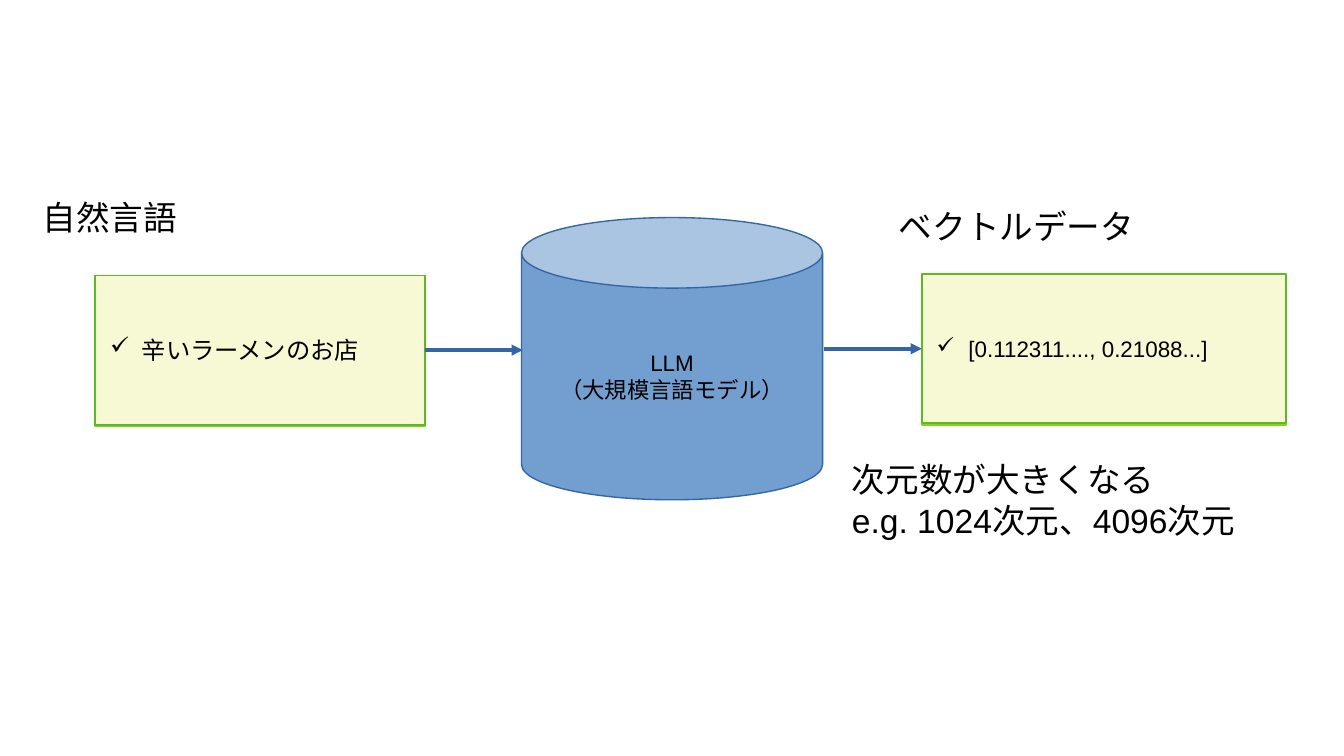
from dataclasses import dataclass

from lxml import etree
from pptx import Presentation
from pptx.dml.color import RGBColor
from pptx.enum.shapes import MSO_CONNECTOR, MSO_SHAPE
from pptx.enum.text import MSO_ANCHOR, MSO_AUTO_SIZE, PP_ALIGN
from pptx.oxml import parse_xml
from pptx.oxml.ns import nsdecls, qn
from pptx.util import Pt

FONT = "Arial"
BLACK = "000000"
BLUE = "3465A4"


@dataclass(frozen=True)
class Box:
    """A piece of text with its place and size, in points."""

    text: str
    left: float
    top: float
    width: float
    height: float
    size: float

    @property
    def right(self) -> float:
        return self.left + self.width

    @property
    def middle(self) -> float:
        return self.top + self.height / 2

    def frame(self) -> tuple:
        return Pt(self.left), Pt(self.top), Pt(self.width), Pt(self.height)


QUERY = Box("辛いラーメンのお店", 51.1, 147.6, 176.4, 79.9, 13)
VECTOR = Box("[0.112311...., 0.21088...]", 493.9, 146.9, 195.1, 79.9, 12)
MODEL = Box("LLM\n（大規模言語モデル）", 279.4, 116.6, 161.3, 151.2, 12)
LABELS = [
    Box("自然言語", 15.8, 102.2, 102.2, 38.2, 18),
    Box("ベクトルデータ", 474.5, 106.6, 166.3, 38.2, 18),
    Box("次元数が大きくなる\ne.g. 1024次元、4096次元", 449.3, 242.6, 259.9, 69.1, 18),
]


def rgb(value: str) -> RGBColor:
    """Turn a hex string into a colour."""
    return RGBColor.from_string(value)


def style_text(tf, size: float, align=None) -> None:
    """Format every run and align every paragraph of a text frame."""
    for p in tf.paragraphs:
        p.alignment = align
        for r in p.runs:
            r.font.size = Pt(size)
            r.font.name = FONT
            r.font.color.rgb = rgb(BLACK)


def add_shape(slide, box: Box, kind, fill: str, line: str, width: float):
    """Draw a filled shape with vertically centred text."""
    sp = slide.shapes.add_shape(kind, *box.frame())
    sp.shadow.inherit = False
    sp.fill.solid()
    sp.fill.fore_color.rgb = rgb(fill)
    sp.line.color.rgb = rgb(line)
    sp.line.width = Pt(width)
    tf = sp.text_frame
    tf.word_wrap = True
    tf.vertical_anchor = MSO_ANCHOR.MIDDLE
    tf.text = box.text
    return sp


def add_card(slide, box: Box):
    """Draw a check-marked card with a thin green shadow below."""
    sp = add_shape(slide, box, MSO_SHAPE.RECTANGLE, "F6F9D4", "5EB91E", 1)
    effects = sp._element.spPr.find(qn("a:effectLst"))
    effects.append(parse_xml(
        f'<a:outerShdw {nsdecls("a")} blurRad="0" dist="{Pt(1)}" dir="5400000" '
        'rotWithShape="0"><a:srgbClr val="81D41A"/></a:outerShdw>'))
    tf = sp.text_frame
    tf.margin_left = tf.margin_right = Pt(7.9)
    tf.margin_top = tf.margin_bottom = Pt(4.3)
    pPr = tf.paragraphs[0]._p.get_or_add_pPr()
    pPr.set("marL", str(Pt(17)))
    pPr.set("indent", str(-Pt(17)))
    color = etree.SubElement(pPr, qn("a:buClr"))
    etree.SubElement(color, qn("a:srgbClr"), val=BLACK)
    etree.SubElement(pPr, qn("a:buChar"), char="✓")
    style_text(tf, box.size, PP_ALIGN.LEFT)
    return sp


def add_model(slide, box: Box) -> None:
    """Draw the language model as a cylinder."""
    sp = add_shape(slide, box, MSO_SHAPE.CAN, "729FCF", BLUE, 0)
    sp.adjustments[0] = 0.25
    style_text(sp.text_frame, box.size, PP_ALIGN.CENTER)


def add_label(slide, box: Box) -> None:
    """Write an unwrapped label, with any later line justified."""
    tf = slide.shapes.add_textbox(*box.frame()).text_frame
    tf.word_wrap = False
    tf.auto_size = MSO_AUTO_SIZE.SHAPE_TO_FIT_TEXT
    tf.text = box.text
    style_text(tf, box.size)
    for p in tf.paragraphs[1:]:
        p.alignment = PP_ALIGN.JUSTIFY


def add_arrow(slide, start: float, end: float, y: float):
    """Draw a horizontal hairline arrow."""
    cx = slide.shapes.add_connector(
        MSO_CONNECTOR.STRAIGHT, Pt(start), Pt(y), Pt(end), Pt(y))
    cx.line.color.rgb = rgb(BLUE)
    cx.line.width = Pt(0)
    etree.SubElement(cx.line._get_or_add_ln(), qn("a:tailEnd"), type="triangle")
    etree.SubElement(cx._element.spPr, qn("a:effectLst"))
    return cx


def main() -> None:
    """Build the slide and save it."""
    prs = Presentation()
    prs.slide_width, prs.slide_height = Pt(720), Pt(405)
    s = prs.slides.add_slide(prs.slide_layouts[6])
    query = add_card(s, QUERY)
    vector = add_card(s, VECTOR)
    add_model(s, MODEL)
    add_arrow(s, QUERY.right, MODEL.left + 0.7, QUERY.middle).begin_connect(query, 3)
    add_arrow(s, MODEL.right + 0.7, VECTOR.left, VECTOR.middle).end_connect(vector, 1)
    for label in LABELS:
        add_label(s, label)
    prs.save("out.pptx")


if __name__ == "__main__":
    main()
